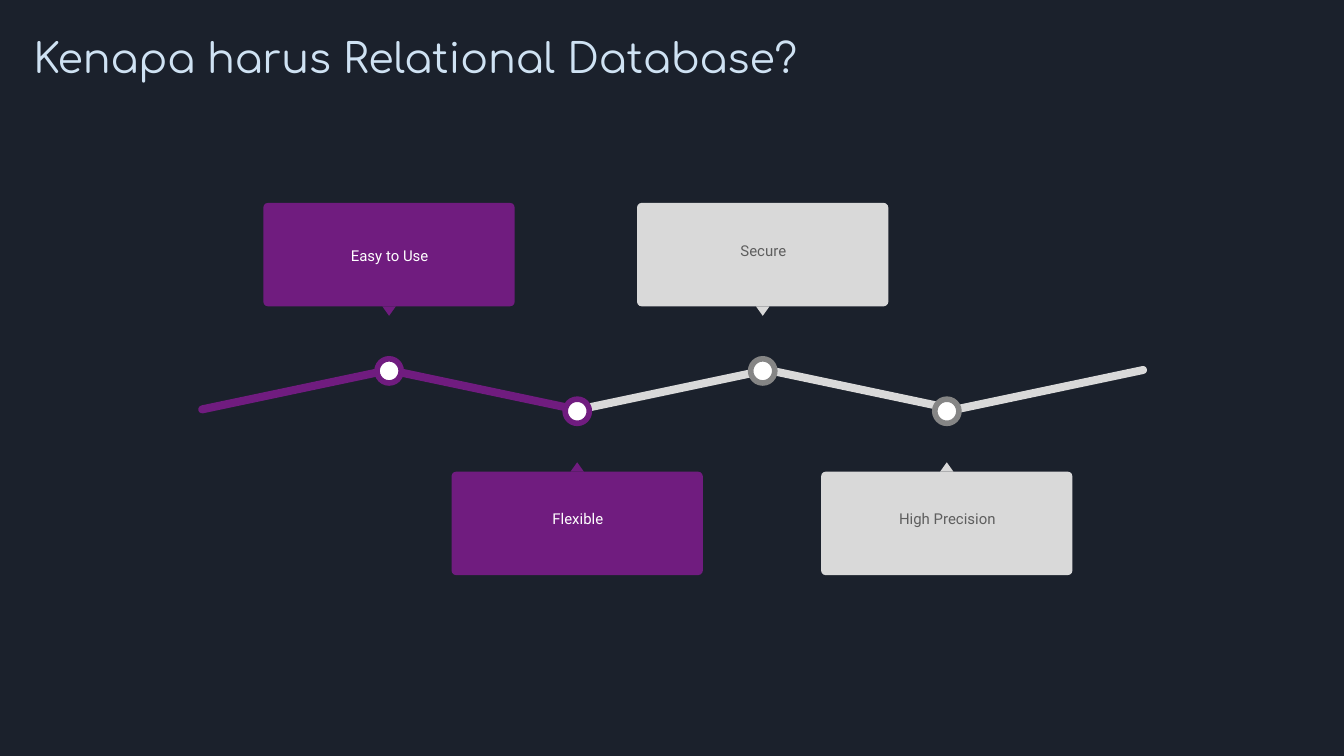
from pptx import Presentation
from pptx.dml.color import RGBColor
from pptx.enum.shapes import MSO_SHAPE
from pptx.enum.text import MSO_ANCHOR, PP_ALIGN
from pptx.util import Inches, Pt

PURPLE, SILVER, GRAY, WHITE = "701C7F", "D9D9D9", "858585", "FFFFFF"
BOX_WIDTH, BOX_HEIGHT = 1.87, 0.77
DOT, POINTER_WIDTH, POINTER_HEIGHT = 0.18, 0.1, 0.07
BAR_WIDTH, BAR_HEIGHT, BAR_TOP, BAR_TILT = 1.48, 0.06, 2.87, 11.9

deck = Presentation()
deck.slide_width = Inches(10)
deck.slide_height = deck.slide_width * 9 // 16
page = deck.slides.add_slide(deck.slide_layouts[6])
page.background.fill.solid()
page.background.fill.fore_color.rgb = RGBColor.from_string("1B212C")


def add_part(kind, left, top, width, height, color, rotation=0, outline=None):
    """Add a flat preset shape, with an outline only if a colour is given."""
    part = page.shapes.add_shape(
        kind, Inches(left), Inches(top), Inches(width), Inches(height))
    part.shadow.inherit = False
    part.rotation = rotation
    part.fill.solid()
    part.fill.fore_color.rgb = RGBColor.from_string(color)
    if outline:
        part.line.color.rgb = RGBColor.from_string(outline)
        part.line.width = Pt(3)
    else:
        part.line.fill.background()
    return part


def add_text(text, left, top, width, height, inset, font, size, color):
    """Add a one-line text box with a top inset and return its paragraph."""
    box = page.shapes.add_textbox(
        Inches(left), Inches(top), Inches(width), Inches(height))
    frame = box.text_frame
    frame.word_wrap = True
    frame.vertical_anchor = MSO_ANCHOR.TOP
    frame.margin_left = frame.margin_right = Inches(0.1)
    frame.margin_top, frame.margin_bottom = Inches(inset), Inches(0.1)
    para = frame.paragraphs[0]
    para.text = text
    span = para.runs[0]
    span.font.name, span.font.size = font, Pt(size)
    span.font.color.rgb = RGBColor.from_string(color)
    return para


add_text("Kenapa harus Relational Database?", 0.15, 0.14, 7.07, 0.57, 0.1,
         "Comfortaa", 22, "CFE2F3")

# Each stage: label, box left, label top, label height, bar left, fill, ring,
# text colour. The last entry is the closing bar, which has no callout.
stages = [
    ("Easy to Use", 1.96, 1.72, 0.52, 1.46, PURPLE, PURPLE, WHITE),
    ("Flexible", 3.36, 3.68, 0.43, 2.85, PURPLE, PURPLE, WHITE),
    ("Secure", 4.74, 1.69, 0.47, 4.27, SILVER, GRAY, "5E5E5E"),
    ("High Precision", 6.11, 3.68, 0.44, 5.67, SILVER, GRAY, "5E5E5E"),
    (None, None, None, None, 7.07, SILVER, None, None),
]

# Later stages go behind earlier ones, so every dot covers its bar ends.
for index, stage in reversed(list(enumerate(stages))):
    (label, box_left, label_top, label_height,
     bar_left, fill, ring, text_color) = stage
    above = index % 2 == 0
    bar = add_part(MSO_SHAPE.ROUNDED_RECTANGLE, bar_left, BAR_TOP, BAR_WIDTH,
                   BAR_HEIGHT, fill, -BAR_TILT if above else BAR_TILT)
    bar.adjustments[0] = 0.5
    if label is None:
        continue

    center = box_left + BOX_WIDTH / 2
    box_top, pointer_top, dot_top = (
        (1.51, 2.28, 2.67) if above else (3.51, 3.44, 2.97))
    callout = add_part(MSO_SHAPE.ROUNDED_RECTANGLE, box_left, box_top,
                       BOX_WIDTH, BOX_HEIGHT, fill)
    callout.adjustments[0] = 0.045
    add_part(MSO_SHAPE.ISOSCELES_TRIANGLE, center - POINTER_WIDTH / 2,
             pointer_top, POINTER_WIDTH, POINTER_HEIGHT, fill,
             180 if above else 0)
    add_part(MSO_SHAPE.OVAL, center - DOT / 2, dot_top, DOT, DOT, WHITE,
             outline=ring)
    para = add_text(label, box_left + 0.05, label_top, 1.78, label_height,
                    0.13, "Roboto", 8, text_color)
    para.alignment = PP_ALIGN.CENTER
    para.line_spacing = 1.15
    para.space_after = Pt(16)

deck.save("out.pptx")
